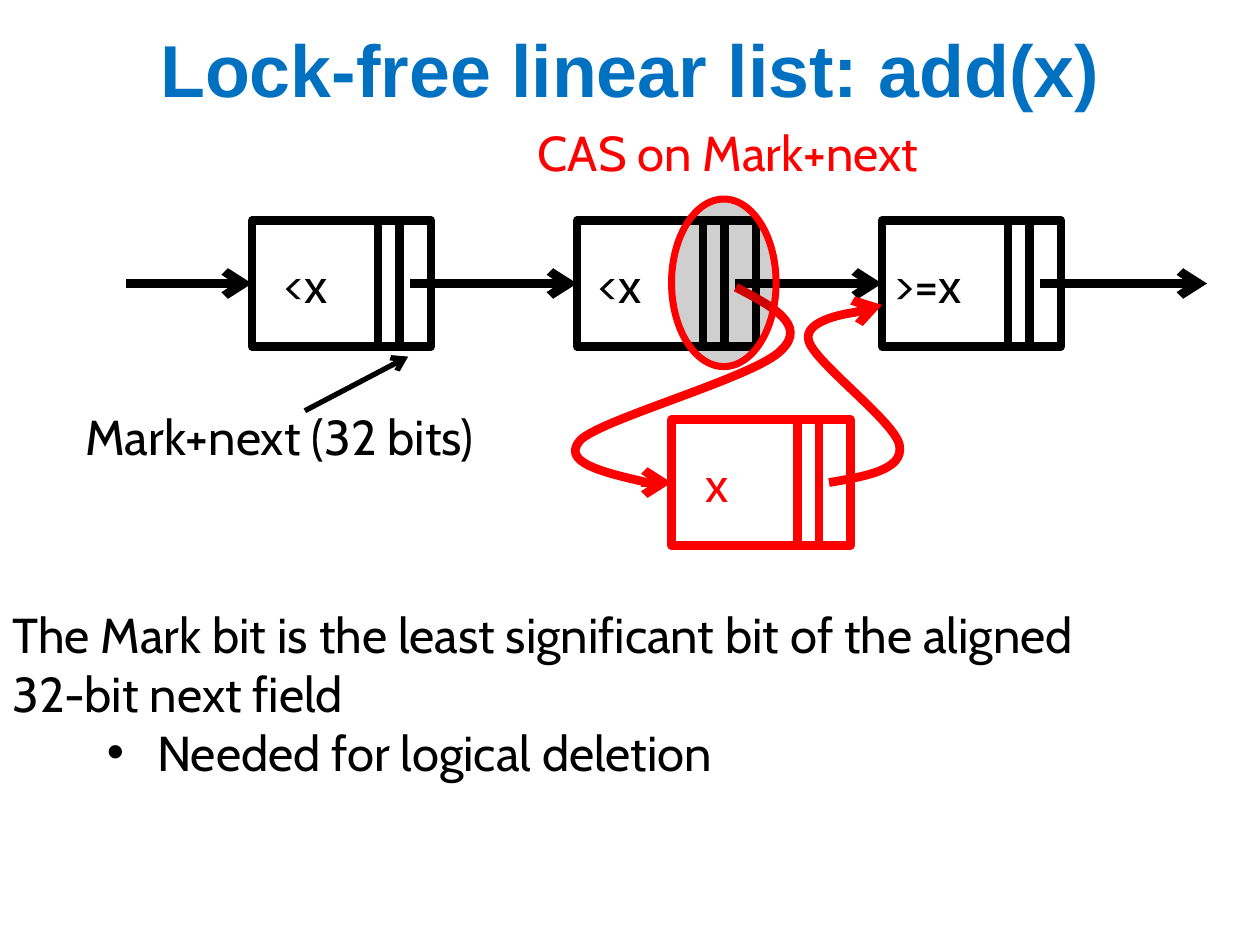
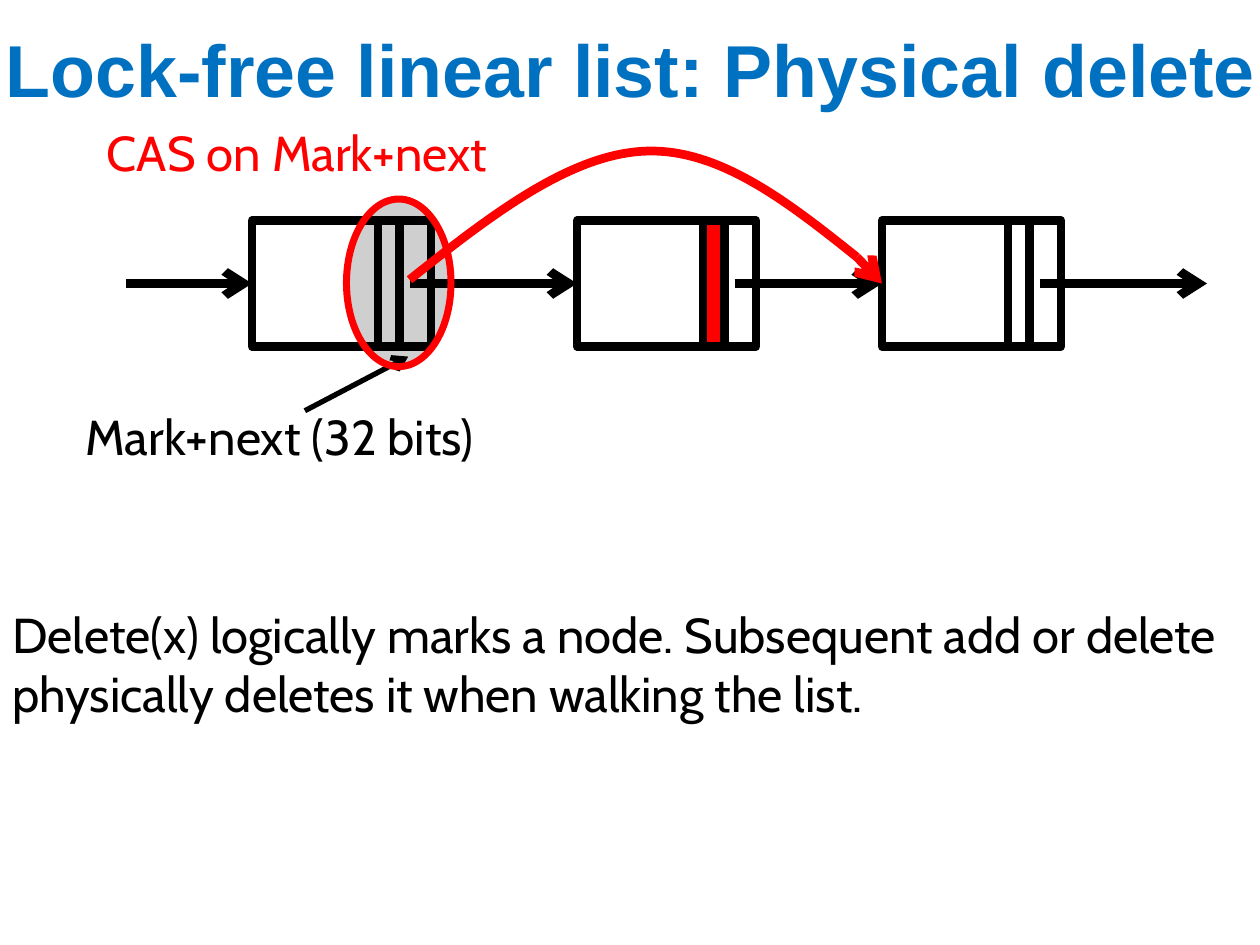
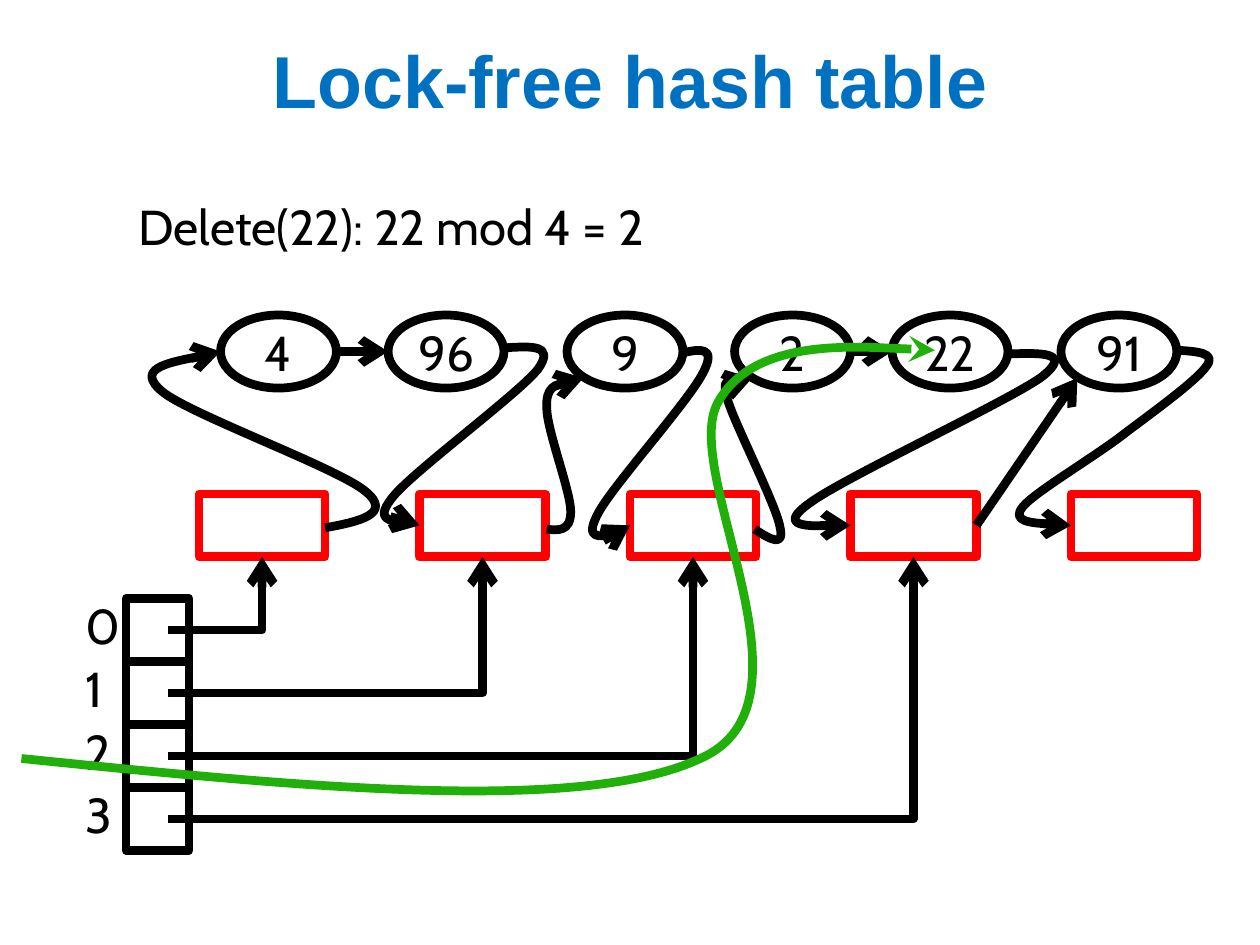
import dataclasses

import lxml.etree
import pptx
import pptx.dml.color
import pptx.enum.shapes
import pptx.enum.text
import pptx.oxml.ns
import pptx.util

Inches = pptx.util.Inches
Pt = pptx.util.Pt
RGB = pptx.dml.color.RGBColor
MSO_SHAPE = pptx.enum.shapes.MSO_SHAPE
MSO_CONNECTOR = pptx.enum.shapes.MSO_CONNECTOR
MSO_ANCHOR = pptx.enum.text.MSO_ANCHOR
MSO_AUTO_SIZE = pptx.enum.text.MSO_AUTO_SIZE
PP_ALIGN = pptx.enum.text.PP_ALIGN
qn = pptx.oxml.ns.qn


@dataclasses.dataclass(frozen=True)
class Theme:
    title_color: RGB = RGB(0x00, 0x70, 0xC0)
    ink: RGB = RGB(0x00, 0x00, 0x00)
    accent: RGB = RGB(0xFF, 0x00, 0x00)
    walk: RGB = RGB(0x21, 0xAF, 0x09)
    title_font: str = "Arial"
    body_font: str = "Cabin"
    title_size: int = 42
    body_size: int = 28
    stroke: int = 5
    halo_stroke: int = 4
    thin_stroke: int = 3
    halo_alpha: int = 19000


THEME = Theme()

# Linked-list geometry
NODE_LEFTS = (2, 4.58, 7)
NODE_TOP, NODE_W, NODE_H = 1.75, 1.42, 1
MARK_X, NEXT_X, POINTER_X, MARK_W = 1, 1.17, 1.25, 0.17
LIST_START, LIST_END = 1, 9.58

# Hash-table geometry
TABLE_X, TABLE_TOP, TABLE_W, SLOT_H = 1, 4.75, 0.5, 0.5
BUCKET_LEFTS = (1.58, 3.33, 5, 6.75, 8.5)
BUCKET_TOP, BUCKET_W, BUCKET_H = 3.92, 1, 0.5
VALUE_LEFTS = {"4": 1.75, "96": 3.08, "9": 4.5, "2": 5.83, "22": 7.08, "91": 8.42}
VALUE_TOP, VALUE_W, VALUE_H = 2.5, 0.92, 0.58
VALUE_MID = 2.79

# Each link: curve points, arrow tip, index of the bucket it reaches (if any)
HASH_LINKS = (
    ([(2.58, 4.19), (2.85, 4.14), (3.12, 4.08), (2.9, 3.9), (2.69, 3.72),
      (1.51, 3.29), (1.29, 3.11), (1.07, 2.93), (1.32, 2.88), (1.58, 2.83)],
     (1.75, 2.79), None),
    ([(4.01, 2.76), (4.21, 2.75), (4.41, 2.73), (4.27, 2.93), (4.12, 3.12),
      (3.31, 3.72), (3.13, 3.93), (2.96, 4.13), (3.09, 4.14), (3.23, 4.14)],
     (3.33, 4.17), 1),
    ([(4.34, 4.2), (4.43, 4.21), (4.53, 4.22), (4.53, 4.06), (4.53, 3.9),
      (4.34, 3.41), (4.34, 3.24), (4.33, 3.07), (4.41, 3.05), (4.49, 3.04)],
     (4.63, 3), None),
    ([(5.42, 2.8), (5.56, 2.77), (5.69, 2.75), (5.58, 2.96), (5.47, 3.18),
      (4.86, 3.86), (4.75, 4.07), (4.63, 4.29), (4.76, 4.26), (4.88, 4.24)],
     (5, 4.17), 2),
    ([(5.99, 4.2), (6.11, 4.28), (6.23, 4.35), (6.19, 4.18), (6.16, 4.01),
      (5.84, 3.38), (5.78, 3.19), (5.72, 3), (5.78, 3.02), (5.83, 3.04)],
     (5.97, 3), None),
    ([(7.99, 2.81), (8.26, 2.8), (8.52, 2.79), (8.27, 2.99), (8.01, 3.18),
      (6.7, 3.79), (6.43, 3.99), (6.16, 4.18), (6.4, 4.18), (6.64, 4.17)],
     (6.75, 4.17), 3),
    ([(9.35, 2.78), (9.5, 2.79), (9.65, 2.8), (9.58, 2.9), (9.51, 3.01),
      (9.18, 3.25), (8.94, 3.43), (8.7, 3.62), (8.22, 3.9), (8.12, 4.02),
      (8.02, 4.14), (8.18, 4.15), (8.34, 4.16)],
     (8.5, 4.17), 4),
)
WALK_PATH = [(0.17, 6.02), (2.42, 6.25), (4.68, 6.47), (5.6, 6), (6.53, 5.53),
             (5.39, 3.73), (5.7, 3.19), (6, 2.66), (7.42, 2.78), (7.42, 2.78)]


# Text and line formatting
def format_text(tf, font, size, color, bold=False, align=PP_ALIGN.LEFT):
    for p in tf.paragraphs:
        p.alignment = align
        for r in p.runs:
            r.font.name = font
            r.font.size = Pt(size)
            r.font.bold = bold
            r.font.color.rgb = color


def format_line(sp, color, width, head=None):
    sp.line.color.rgb = color
    sp.line.width = Pt(width)
    ln = sp.element.spPr.find(qn("a:ln"))
    lxml.etree.SubElement(ln, qn("a:round"))
    if head:
        lxml.etree.SubElement(ln, qn("a:tailEnd")).set("type", head)


# Elements
def add_titled_slide(prs, text, left=0, width=10, height=1.08):
    slide = prs.slides.add_slide(prs.slide_layouts[5])
    sp = slide.shapes.title
    sp.left, sp.top = Inches(left), Inches(0)
    sp.width, sp.height = Inches(width), Inches(height)
    tf = sp.text_frame
    tf.text = text
    tf.auto_size = MSO_AUTO_SIZE.NONE
    tf.vertical_anchor = MSO_ANCHOR.MIDDLE
    format_text(tf, THEME.title_font, THEME.title_size, THEME.title_color,
                True, PP_ALIGN.CENTER)
    return slide


def add_outline(slide, kind, left, top, width, height, color=THEME.ink,
                stroke=THEME.stroke, fill=None):
    sp = slide.shapes.add_shape(kind, Inches(left), Inches(top),
                                Inches(width), Inches(height))
    sp.shadow.inherit = False
    if fill is None:
        sp.fill.background()
    else:
        sp.fill.solid()
        sp.fill.fore_color.rgb = fill
    format_line(sp, color, stroke)
    return sp


def label_shape(sp, text, color=THEME.ink, align=PP_ALIGN.LEFT, inset=0.1):
    tf = sp.text_frame
    tf.text = text
    tf.margin_left = Inches(inset)
    tf.vertical_anchor = MSO_ANCHOR.MIDDLE
    format_text(tf, THEME.body_font, THEME.body_size, color, align=align)


def add_text(slide, text, left, top, width, height, color=THEME.ink, wrap=False):
    sp = slide.shapes.add_textbox(Inches(left), Inches(top),
                                  Inches(width), Inches(height))
    tf = sp.text_frame
    tf.text = text
    tf.word_wrap = wrap
    tf.auto_size = MSO_AUTO_SIZE.SHAPE_TO_FIT_TEXT
    format_text(tf, THEME.body_font, THEME.body_size, color)
    return tf


def make_bullet(p):
    p.level = 1
    pPr = p._p.get_or_add_pPr()
    pPr.set("marL", str(Inches(1.15)))
    pPr.set("indent", str(Inches(-0.4)))
    lxml.etree.SubElement(pPr, qn("a:buFont")).set("typeface", "Arial")
    lxml.etree.SubElement(pPr, qn("a:buChar")).set("char", "•")


def add_line(slide, start, end, color=THEME.ink, stroke=THEME.stroke, head=None,
             begin=None, finish=None, kind=MSO_CONNECTOR.STRAIGHT):
    """Draw a connector; begin and finish are optional (shape, site) joints."""
    sp = slide.shapes.add_connector(kind, *(Inches(v) for v in (*start, *end)))
    format_line(sp, color, stroke, head)
    lxml.etree.SubElement(sp.element.spPr, qn("a:effectLst"))
    if begin:
        sp.begin_connect(*begin)
    if finish:
        sp.end_connect(*finish)
    return sp


def add_elbow(slide, start, end):
    sp = add_line(slide, start, end, head="arrow", kind=MSO_CONNECTOR.ELBOW)
    sp.element.spPr.find(qn("a:prstGeom")).set("prst", "bentConnector2")


def add_curve(slide, points, color=THEME.ink, head=None):
    """Draw a chain of cubic Bezier segments: a start, then three points each."""
    emu = [(Inches(x), Inches(y)) for x, y in points]
    builder = slide.shapes.build_freeform(*emu[0])
    builder.add_line_segments(emu[1:], close=False)
    sp = builder.convert_to_shape()
    segments = list(sp.element.iter(qn("a:lnTo")))
    for i in range(0, len(segments), 3):
        bezier = lxml.etree.Element(qn("a:cubicBezTo"))
        segments[i].addprevious(bezier)
        for segment in segments[i:i + 3]:
            bezier.append(segment[0])
            segment.getparent().remove(segment)
    sp.shadow.inherit = False
    sp.fill.background()
    format_line(sp, color, THEME.stroke, head)


def add_curved_arrow(slide, points, tip, color=THEME.ink, finish=None):
    add_curve(slide, points, color)
    add_line(slide, points[-1], tip, color, head="arrow", finish=finish)


# Linked-list parts
def add_node(slide, left, top, color=THEME.ink, marked=False):
    node = add_outline(slide, MSO_SHAPE.RECTANGLE, left, top, NODE_W, NODE_H, color)
    if marked:
        add_outline(slide, MSO_SHAPE.RECTANGLE, left + MARK_X, top, MARK_W, NODE_H,
                    color, fill=THEME.accent)
    else:
        for x in (left + MARK_X, left + NEXT_X):
            add_line(slide, (x, top), (x, top + NODE_H), color)
    return node


def add_list(slide, marked=None):
    nodes = [add_node(slide, left, NODE_TOP, marked=(i == marked))
             for i, left in enumerate(NODE_LEFTS)]
    mid = NODE_TOP + NODE_H / 2
    starts = [LIST_START] + [left + POINTER_X for left in NODE_LEFTS]
    ends = [*NODE_LEFTS, LIST_END]
    joints = [(node, 1) for node in nodes] + [None]
    for start, end, joint in zip(starts, ends, joints):
        add_line(slide, (start, mid), (end, mid), head="arrow", finish=joint)
    add_text(slide, "Mark+next (32 bits)", 0.58, 3.18, 3.68, 0.57)
    add_line(slide, (2.42, 3.26), (3.24, 2.83), stroke=THEME.thin_stroke, head="arrow")
    return nodes


def add_cas(slide, label_left, node_left):
    add_text(slide, "CAS on Mark+next", label_left, 0.92, 3.46, 0.57, THEME.accent)
    halo = add_outline(slide, MSO_SHAPE.OVAL, node_left + 0.75, 1.58, 0.83, 1.33,
                       THEME.accent, THEME.halo_stroke, THEME.ink)
    color = halo.element.spPr.find(qn("a:solidFill"))[0]
    lxml.etree.SubElement(color, qn("a:alpha")).set("val", str(THEME.halo_alpha))


# Slides
def build_add(prs):
    slide = add_titled_slide(prs, "Lock-free linear list: add(x)")
    nodes = add_list(slide)
    for node, text, inset in zip(nodes, ("<x", "<x", ">=x"), (0.26, 0.17, 0.1)):
        label_shape(node, text, inset=inset)
    new_node = add_node(slide, 5.33, 3.33, THEME.accent)
    label_shape(new_node, "x", THEME.accent, inset=0.27)
    add_curved_arrow(slide, [(6.58, 3.83), (6.87, 3.78), (7.17, 3.73), (7.14, 3.54),
                             (7.12, 3.36), (6.48, 2.89), (6.42, 2.71),
                             (6.36, 2.53), (6.78, 2.48), (6.78, 2.48)],
                     (7, 2.42), THEME.accent)
    add_curved_arrow(slide, [(5.84, 2.28), (6.13, 2.43), (6.41, 2.58), (6.2, 2.78),
                             (6, 2.99), (4.79, 3.32), (4.61, 3.49),
                             (4.44, 3.67), (4.79, 3.75), (5.14, 3.83)],
                     (5.33, 3.83), THEME.accent, (new_node, 1))
    add_cas(slide, 4.17, NODE_LEFTS[1])
    tf = add_text(slide, "The Mark bit is the least significant bit of the aligned\n"
                         "32-bit next field\n"
                         "Needed for logical deletion", 0, 4.75, 10, 1.51, wrap=True)
    make_bullet(tf.paragraphs[2])


def build_delete(prs):
    slide = add_titled_slide(prs, "Lock-free linear list: Physical delete", -0.33, 10.67)
    nodes = add_list(slide, marked=1)
    add_cas(slide, 0.75, NODE_LEFTS[0])
    add_curved_arrow(slide, [(3.25, 2.22), (3.88, 1.72), (4.51, 1.23), (5.11, 1.2),
                             (5.7, 1.17), (6.25, 1.6), (6.8, 2.04)],
                     (7, 2.25), THEME.accent, (nodes[2], 1))
    add_text(slide, "Delete(x) logically marks a node. Subsequent add or delete "
                    "physically deletes it when walking the list.",
             0, 4.75, 10, 1.04, wrap=True)


def build_hash_table(prs):
    slide = add_titled_slide(prs, "Lock-free hash table", height=1.25)

    # Table, buckets and values
    add_outline(slide, MSO_SHAPE.RECTANGLE, TABLE_X, TABLE_TOP, TABLE_W, 4 * SLOT_H)
    for i in range(1, 4):
        y = TABLE_TOP + i * SLOT_H
        add_line(slide, (TABLE_X, y), (TABLE_X + TABLE_W, y))
    buckets = [add_outline(slide, MSO_SHAPE.RECTANGLE, left, BUCKET_TOP,
                           BUCKET_W, BUCKET_H, THEME.accent)
               for left in BUCKET_LEFTS]
    for value, left in VALUE_LEFTS.items():
        sp = add_outline(slide, MSO_SHAPE.OVAL, left, VALUE_TOP, VALUE_W, VALUE_H)
        label_shape(sp, value, align=PP_ALIGN.CENTER)

    # Links of the list
    for points, tip, bucket in HASH_LINKS:
        finish = None if bucket is None else (buckets[bucket], 1)
        add_curved_arrow(slide, points, tip, finish=finish)
    for source, target in (("4", "96"), ("2", "22")):
        add_line(slide, (VALUE_LEFTS[source] + VALUE_W, VALUE_MID),
                 (VALUE_LEFTS[target], VALUE_MID), head="arrow")
    add_line(slide, (7.75, 4.17), (8.55, 3), head="arrow", begin=(buckets[3], 3))

    # Slot pointers and indices
    for i, left in enumerate(BUCKET_LEFTS[:4]):
        add_elbow(slide, (1.33, TABLE_TOP + (i + 0.5) * SLOT_H),
                  (left + BUCKET_W / 2, BUCKET_TOP + BUCKET_H))
        add_text(slide, str(i), 0.58, 4.68 + i * SLOT_H, 0.42, 0.57)

    # The walk to the deleted value
    add_text(slide, "Delete(22): 22 mod 4 = 2", 1, 1.51, 4.69, 0.57)
    add_curve(slide, WALK_PATH, THEME.walk, "stealth")


def main():
    prs = pptx.Presentation()
    prs.slide_width, prs.slide_height = Inches(10), Inches(7.5)
    build_add(prs)
    build_delete(prs)
    build_hash_table(prs)
    prs.save("out.pptx")


if __name__ == "__main__":
    main()
